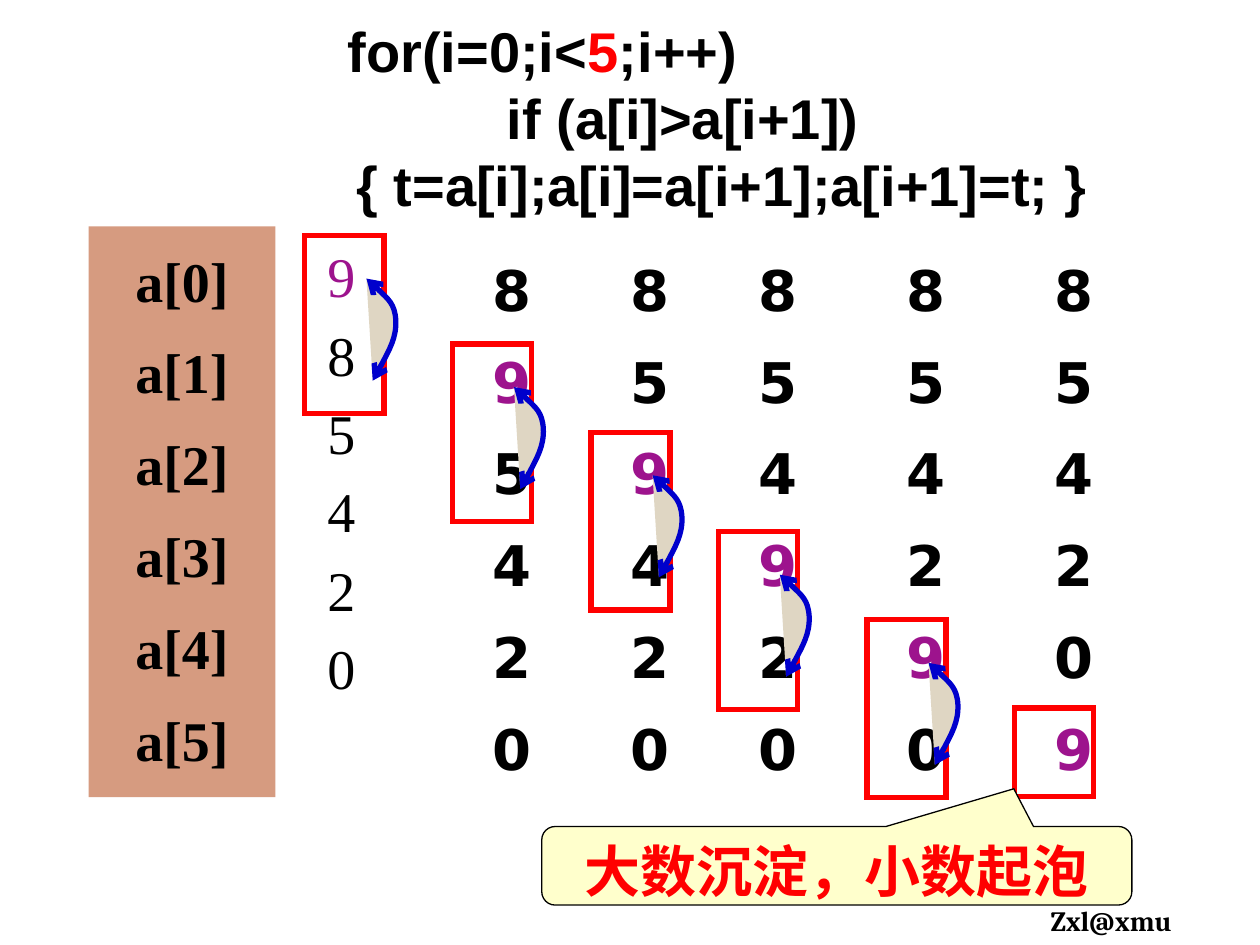
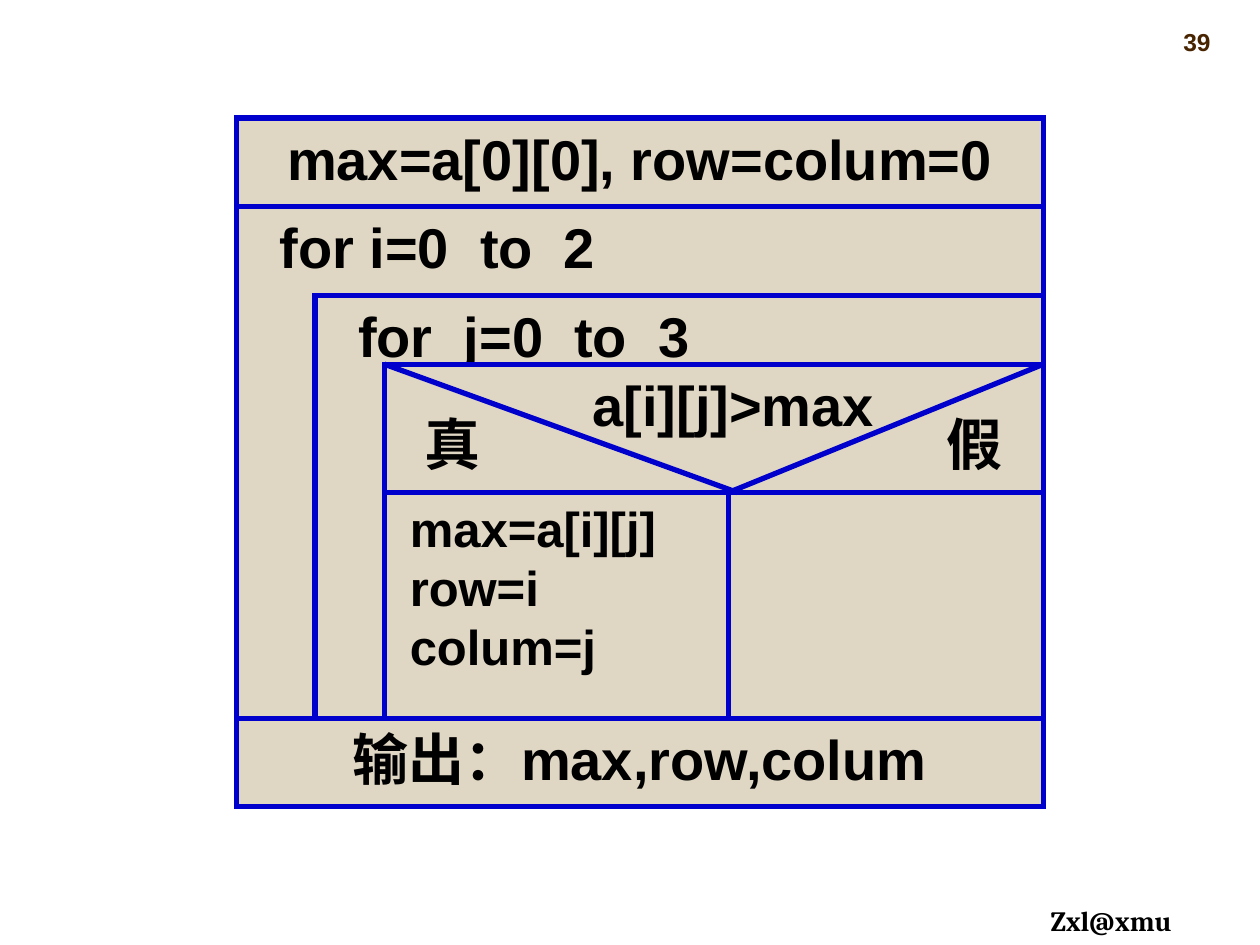
from lxml.etree import SubElement as Sub
from pptx import Presentation
from pptx.dml.color import RGBColor as Rgb
from pptx.enum.shapes import MSO_CONNECTOR as Link, MSO_SHAPE as Kind
from pptx.enum.text import MSO_ANCHOR as Anchor, PP_ALIGN as Align
from pptx.oxml.ns import qn
from pptx.util import Pt

HUE = {"ink": "000000", "red": "FF0000", "plum": "9D138D", "blue": "0000CC",
       "sand": "DFD6C3", "clay": "D69B80", "cream": "FFFFCC",
       "brown": "482400", "white": "FFFFFF"}
FOOT = "Zxl@xmu"
PAGE = "39"

CODE = [
    ([("for(i=0;i<", "ink"), ("5", "red"), (";i++)", "ink")], 31),
    ("if (a[i]>a[i+1])", 122),
    ("{ t=a[i];a[i]=a[i+1];a[i+1]=t; }", 36),
]
START = [9, 8, 5, 4, 2, 0]
NOTE = "大数沉淀，小数起泡"
FRAMES = [(174.2, 134.6), (258.5, 196.6), (337.7, 247),
          (410.4, 303.8), (495.4, 354.2), (579.6, 404.6)]
TALL, SHORT, WIDE = 101.5, 50.4, 45.2
ARC = [(3.6, 58.3), (10.4, 46), (17.2, 33.7), (16.8, 23.8),
       (16.2, 14.3), (8, 7.1), (0, 0)]

LEFT, RIGHT = 135.1, 596.3
HEAD, LOOP, INNER, TEST, SPLIT, OUT = 67.5, 118.1, 168.8, 208.1, 281.5, 410.4
ROW = 50.6
NEST, CORE, MID, TIP = 180, 219.6, 416.2, 421.6
FIRST = "max=a[0][0], row=colum=0"
OUTER, DEEP = "for i=0  to  2", "for  j=0  to  3"
CHECK, YES, NO = "a[i][j]>max", "真", "假"
BODY = ["max=a[i][j]", "row=i", "colum=j"]
LAST = "输出：max,row,colum"


def paint(form, fill=None, line=None, width=3):
    if fill:
        form.fill.solid()
        form.fill.fore_color.rgb = Rgb.from_string(HUE[fill])
    else:
        form.fill.background()
    if line:
        form.line.color.rgb = Rgb.from_string(HUE[line])
        form.line.width = Pt(width)
        Sub(form.line._get_or_add_ln(), qn("a:miter"), lim="800000")
    else:
        form.line.fill.background()
    form.shadow.inherit = False


def box(slide, x, y, w, h, kind=Kind.RECTANGLE, **look):
    form = slide.shapes.add_shape(kind, Pt(x), Pt(y), Pt(w), Pt(h))
    paint(form, **look)
    return form


def write(form, lines, size=32, font="Arial", hue="ink", bold=True, align=Align.LEFT,
          anchor=Anchor.TOP, gap=0, lead=1, indent=0, wrap=True):
    frame = form.text_frame
    frame.word_wrap = wrap
    frame.vertical_anchor = anchor
    frame.margin_top = frame.margin_bottom = Pt(3.6)
    frame.margin_left = frame.margin_right = Pt(7.2)
    for at, line in enumerate([lines] if isinstance(lines, str) else lines):
        runs, shift = line if isinstance(line, tuple) else (line, indent)
        para = frame.add_paragraph() if at else frame.paragraphs[0]
        para.alignment = align
        para.line_spacing = lead
        para.space_before = Pt(gap if at else 0)
        if shift:
            props = para._p.get_or_add_pPr()
            props.set("marL", str(Pt(shift)))
            props.set("indent", "0")
        for text, tint in [(runs, hue)] if isinstance(runs, str) else runs:
            run = para.add_run()
            run.text = text
            run.font.size, run.font.name, run.font.bold = Pt(size), font, bold
            run.font.color.rgb = Rgb.from_string(HUE[tint])


def label(slide, lines, x, y, w, h, **form):
    write(slide.shapes.add_textbox(Pt(x), Pt(y), Pt(w), Pt(h)), lines, **form)


def rule(slide, x1, y1, x2, y2):
    line = slide.shapes.add_connector(Link.STRAIGHT, Pt(x1), Pt(y1), Pt(x2), Pt(y2))
    line.line.color.rgb = Rgb.from_string(HUE["blue"])
    line.line.width = Pt(3)
    Sub(line._element.spPr, qn("a:effectLst"))


def swap(slide, x, y):
    dots = [(Pt(x + a), Pt(y + b)) for a, b in ARC]
    pen = slide.shapes.build_freeform(*dots[0])
    pen.add_line_segments(dots[1:], close=False)
    form = pen.convert_to_shape()
    paint(form, fill="sand", line="blue")
    legs = list(form._element.iter(qn("a:lnTo")))
    route = legs[0].getparent()
    for n in range(0, len(legs), 3):
        curve = Sub(route, qn("a:cubicBezTo"))
        for leg in legs[n:n + 3]:
            curve.append(leg[0])
            route.remove(leg)
    for end in ("a:headEnd", "a:tailEnd"):
        Sub(form.line._get_or_add_ln(), qn(end), type="arrow")


def page(deck):
    slide = deck.slides.add_slide(deck.slide_layouts[6])
    label(slide, FOOT, 593.3, 512.6, 92.9, 26.6, size=16, font="Cambria", wrap=False)
    return slide


def sort(deck):
    slide = page(deck)
    nums = START[:]
    for step, (x, y) in enumerate(FRAMES):
        digits = [([(str(n), "plum" if n == 9 else "ink")], 0) for n in nums]
        look = (dict(font="DejaVu Sans", align=Align.CENTER, lead=1.2) if step
                else dict(font="Times New Roman", bold=False))
        label(slide, digits, x + 5.8, 134.6, 56.2, 326.2, gap=6.4, **look)
        last = step == len(FRAMES) - 1
        box(slide, x, y, WIDE, SHORT if last else TALL,
            Kind.FLOWCHART_PROCESS, line="red")
        if not last:
            swap(slide, x + 35.2, y + 24.6)
            nums[step], nums[step + 1] = nums[step + 1], nums[step]
    note = box(slide, 309.6, 472.3, 337.2, 44.9, Kind.ROUNDED_RECTANGULAR_CALLOUT,
               fill="cream", line="ink", width=0.75)
    for n, value in enumerate((0.3, -0.98, 0.17)):
        note.adjustments[n] = value
    write(note, NOTE, hue="red", align=Align.CENTER)
    write(box(slide, 50.7, 129.4, 106.6, 326.2, fill="clay"),
          [f"a[{n}]" for n in range(len(START))], font="Times New Roman",
          align=Align.CENTER, gap=6.4, lead=1.2)
    write(box(slide, 160.6, 5.8, 480, 123.6, fill="white"), CODE)


def chart(deck):
    slide = page(deck)
    label(slide, PAGE, 549, 0, 149.8, 36, size=14, hue="brown",
          align=Align.RIGHT, anchor=Anchor.BOTTOM)
    look = dict(kind=Kind.FLOWCHART_PROCESS, fill="sand", line="blue")
    mid = dict(align=Align.CENTER, wrap=False)
    for x, y, low, text in [(LEFT, LOOP, OUT + ROW, OUTER), (NEST, INNER, OUT, DEEP)]:
        write(box(slide, x, y, RIGHT - x, low - y, **look), text, indent=17.6)
    box(slide, CORE, TEST, RIGHT - CORE, OUT - TEST, **look)
    label(slide, BODY, CORE, SPLIT, MID - CORE, OUT - SPLIT, size=28, indent=7.5)
    for y, text in [(HEAD, FIRST), (OUT, LAST)]:
        write(box(slide, LEFT, y, RIGHT - LEFT, ROW, **look), text, **mid)
    for x, y, w, text in [(326.2, TEST, 185.8, CHECK),
                          (230.4, 230.4, 56.2, YES), (528.5, 230.4, 56.2, NO)]:
        write(box(slide, x, y, w, ROW, Kind.FLOWCHART_PROCESS), text, **mid)
    for ends in [(CORE, SPLIT, RIGHT, SPLIT), (MID, SPLIT, RIGHT, TEST),
                 (CORE, TEST, TIP, SPLIT), (MID, OUT, MID, SPLIT)]:
        rule(slide, *ends)


def main():
    deck = Presentation()
    deck.slide_width, deck.slide_height = Pt(720), Pt(540)
    sort(deck)
    chart(deck)
    deck.save("out.pptx")


if __name__ == "__main__":
    main()
